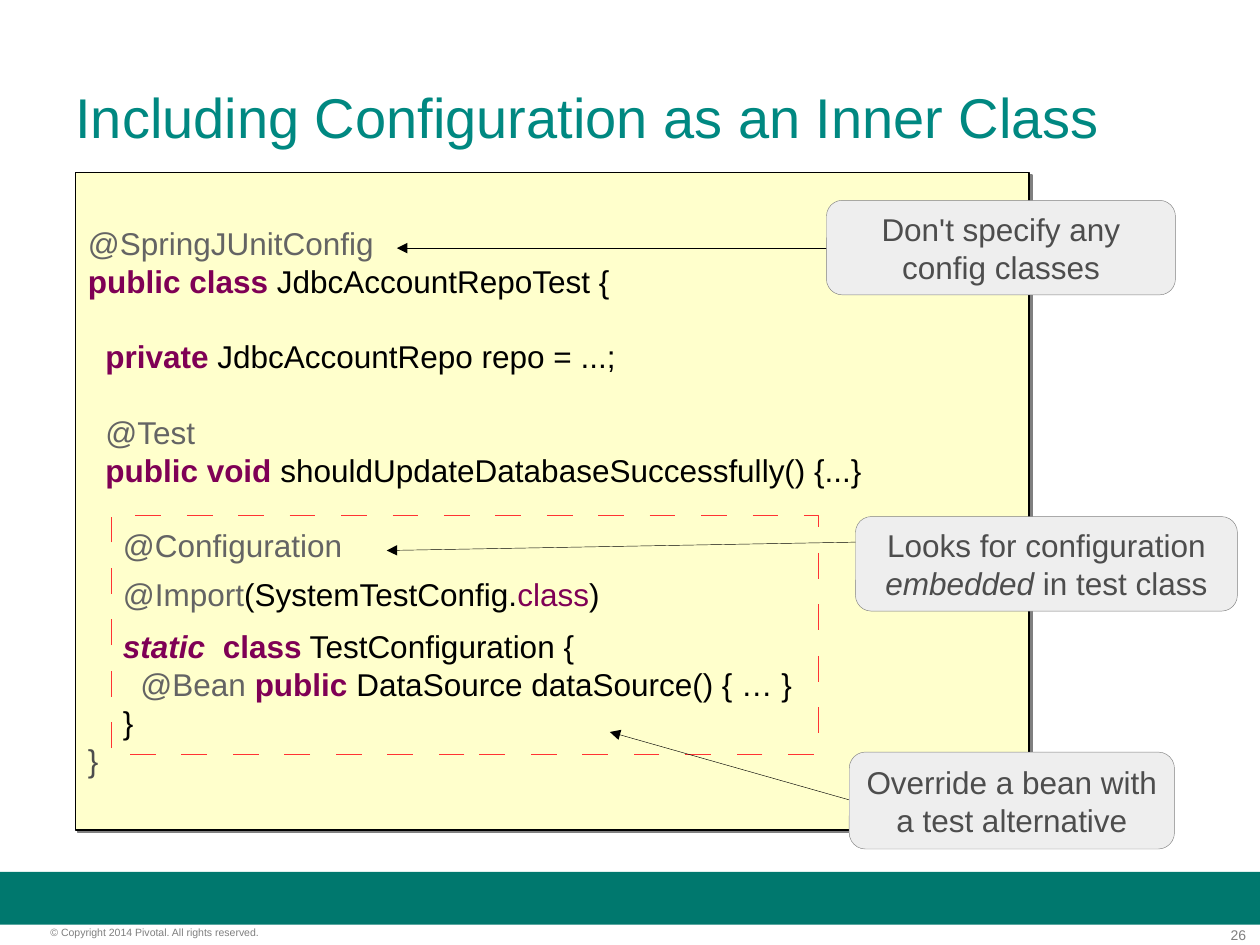
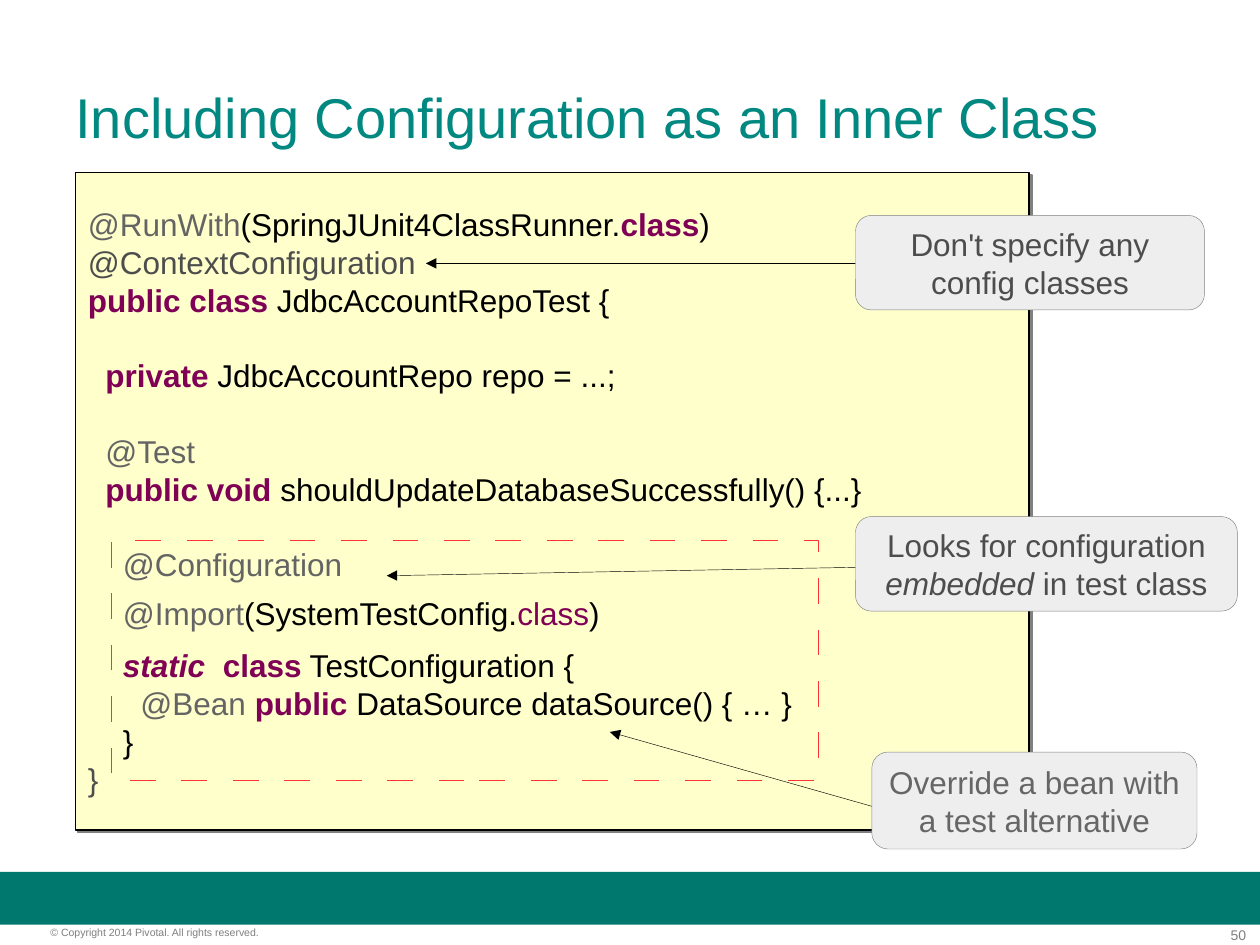
from dataclasses import dataclass
from typing import NamedTuple

from lxml import etree
from pptx import Presentation
from pptx.dml.color import RGBColor
from pptx.enum.shapes import MSO_CONNECTOR, MSO_SHAPE
from pptx.enum.text import MSO_ANCHOR, PP_ALIGN
from pptx.oxml.ns import qn
from pptx.util import Pt

RECT, ROUNDED = MSO_SHAPE.RECTANGLE, MSO_SHAPE.ROUNDED_RECTANGLE
STRAIGHT = MSO_CONNECTOR.STRAIGHT
LEFT, CENTER, RIGHT = PP_ALIGN.LEFT, PP_ALIGN.CENTER, PP_ALIGN.RIGHT
TOP, MIDDLE = MSO_ANCHOR.TOP, MSO_ANCHOR.MIDDLE


@dataclass(frozen=True)
class Theme:
    font: str = "Arial"
    title: str = "008881"
    band: str = "00786E"
    footer: str = "7F7F7F"
    panel: str = "FFFFCC"
    callout: str = "EEEEEE"
    border: str = "808080"
    dashes: str = "FF3333"
    black: str = "000000"
    keyword: str = "7F0055"
    annotation: str = "646464"
    text: str = "4D4D4D"
    soft_text: str = "666666"
    title_size: float = 32
    body_size: float = 18
    number_size: float = 8
    copyright_size: float = 6
    hairline: float = 0.25
    line_height: float = 21.6
    dash: float = 14.4


T = Theme()


# Building blocks, all lengths in points
class Box(NamedTuple):
    left: float
    top: float
    width: float
    height: float


class Run(NamedTuple):
    text: str
    color: str = T.black
    bold: bool = False
    italic: bool = False


class Line(NamedTuple):
    runs: list[Run]
    before: float = 0
    after: float = 0


class Arrow(NamedTuple):
    x1: float
    y1: float
    x2: float
    y2: float


class Callout(NamedTuple):
    box: Box
    lines: list[Line]
    arrow: Arrow


class CodeSlide(NamedTuple):
    number: int
    code: list[Line]
    inner_class: Box
    callouts: list[Callout]


def kw(text: str, italic: bool = False) -> Run:
    return Run(text, T.keyword, True, italic)


def note(text: str) -> Run:
    return Run(text, T.annotation)


def plain(text: str, color: str = T.text) -> Line:
    return Line([Run(text, color)])


# Drawing functions
def write(sp, lines: list[Line], *, size: float, align=LEFT, anchor=TOP,
          margins: tuple[float, float] = (0, 0), spacing: float | None = None) -> None:
    tf = sp.text_frame
    tf.word_wrap = True
    tf.vertical_anchor = anchor
    tf.margin_left = tf.margin_right = Pt(margins[0])
    tf.margin_top = tf.margin_bottom = Pt(margins[1])
    for i, line in enumerate(lines):
        p = tf.add_paragraph() if i else tf.paragraphs[0]
        p.alignment = align
        if spacing:
            p.line_spacing = Pt(spacing)
        if line.before:
            p.space_before = Pt(line.before)
        if line.after:
            p.space_after = Pt(line.after)
        for run in line.runs:
            r = p.add_run()
            r.text = run.text
            r.font.name, r.font.size = T.font, Pt(size)
            r.font.bold, r.font.italic = run.bold, run.italic
            r.font.color.rgb = RGBColor.from_string(run.color)


def add_text(s, box: Box, text: str, color: str, **fmt) -> None:
    write(s.shapes.add_textbox(*map(Pt, box)), [plain(text, color)], **fmt)


def add_box(s, box: Box, *, kind=RECT, fill: str | None = None,
            line: str | None = None, width: float = T.hairline):
    sp = s.shapes.add_shape(kind, *map(Pt, box))
    sp.shadow.inherit = False
    if fill:
        sp.fill.solid()
        sp.fill.fore_color.rgb = RGBColor.from_string(fill)
    else:
        sp.fill.background()
    if line:
        sp.line.color.rgb = RGBColor.from_string(line)
        sp.line.width = Pt(width)
    else:
        sp.line.fill.background()
    return sp


def add_shadow(sp, color: str, distance: float) -> None:
    effects = sp._element.spPr.find(qn("a:effectLst"))
    shadow = etree.SubElement(effects, qn("a:outerShdw"), blurRad="0",
                              dist=str(Pt(distance)), dir=str(45 * 60000),
                              algn="tl", rotWithShape="0")
    etree.SubElement(shadow, qn("a:srgbClr"), val=color)


def add_dashed_box(s, box: Box) -> None:
    sp = add_box(s, box, line=T.dashes)
    length = str(round(T.dash / T.hairline * 100000))
    dashes = etree.SubElement(sp.line._get_or_add_ln(), qn("a:custDash"))
    etree.SubElement(dashes, qn("a:ds"), d=length, sp=length)


def add_arrow(s, arrow: Arrow) -> None:
    c = s.shapes.add_connector(STRAIGHT, *map(Pt, arrow))
    c.line.color.rgb = RGBColor.from_string(T.black)
    c.line.width = Pt(T.hairline)
    etree.SubElement(c.line._get_or_add_ln(), qn("a:tailEnd"), type="triangle")
    etree.SubElement(c._element.spPr, qn("a:effectLst"))


def add_callout(s, callout: Callout) -> None:
    sp = add_box(s, callout.box, kind=ROUNDED, fill=T.callout, line=T.border)
    write(sp, callout.lines, size=T.body_size, align=CENTER, anchor=MIDDLE,
          margins=(7.2, 3.6), spacing=T.line_height)


def add_frame(s, number: int) -> None:
    add_box(s, Box(0, 498.2, 720, 30.2), fill=T.band)
    add_text(s, Box(670.3, 529.2, 41.8, 9.4), str(number), T.footer,
             size=T.number_size, align=RIGHT)
    add_text(s, Box(28.8, 529.2, 179.3, 7.2),
             "© Copyright 2014 Pivotal. All rights reserved.", T.footer,
             size=T.copyright_size)
    add_text(s, Box(36, 21.6, 648, 90), "Including Configuration as an Inner Class",
             T.title, size=T.title_size, anchor=MIDDLE, margins=(7.2, 3.6))


def draw_slide(prs, slide: CodeSlide) -> None:
    s = prs.slides.add_slide(prs.slide_layouts[6])
    add_frame(s, slide.number)
    panel = add_box(s, Box(43.2, 98.6, 545, 375.8), fill=T.panel, line=T.black, width=1)
    add_shadow(panel, T.border, 2)
    write(panel, slide.code, size=T.body_size, anchor=MIDDLE,
          margins=(7.2, 3.6), spacing=T.line_height)
    add_dashed_box(s, slide.inner_class)
    for callout in slide.callouts:
        add_arrow(s, callout.arrow)
    for callout in slide.callouts:
        add_callout(s, callout)


# Code shared by both slides; an empty code line is one line height before
GAP = T.line_height
TEST_CLASS = [
    Line([kw("public class"), Run(" JdbcAccountRepoTest {")]),
    Line([note("  "), kw("private"), Run(" JdbcAccountRepo repo = ...;")], before=GAP),
    Line([note("  @Test")], before=GAP),
    Line([kw("  public void"), Run(" shouldUpdateDatabaseSuccessfully() {...}")]),
    Line([note("    @Configuration")], before=GAP),
    Line([note("    @Import"), Run("(SystemTestConfig."), Run("class", T.keyword),
          Run(")")], before=6, after=8.5),
    Line([kw("    "), kw("static  ", italic=True), kw("class"),
          Run(" TestConfiguration {")]),
    Line([note("      @Bean "), kw("public"), Run(" DataSource dataSource() { … }")]),
    Line([Run("    }")]),
    plain("}"),
]
SPRING_CONFIG = [Line([note("@SpringJUnitConfig")])]
RUN_WITH = [
    Line([note("@RunWith"), Run("(SpringJUnit4ClassRunner."), kw("class"), Run(")")]),
    plain("@ContextConfiguration"),
]


# Callouts
def no_classes(left: float, top: float, arrow: Arrow) -> Callout:
    return Callout(Box(left, top, 199.4, 54),
                   [plain("Don't specify any config classes")], arrow)


def embedded(arrow_top: float) -> Callout:
    line = Line([Run("Looks for configuration ", T.text),
                 Run("embedded", T.text, italic=True),
                 Run(" in test class", T.text)])
    return Callout(Box(488.9, 295.2, 218.2, 54), [line],
                   Arrow(499.7, arrow_top, 221, arrow_top + 5))


def override(left: float, color: str) -> Callout:
    lines = [plain(text, color) for text in ("Override a bean with", "a test alternative")]
    return Callout(Box(left, 429.8, 185.8, 55.4), lines,
                   Arrow(503.3, 462.2, 348.5, 418.3))


def inner_class(top: float) -> Box:
    return Box(63.4, top, 403.9, 136.8)


SLIDES = [
    CodeSlide(26, SPRING_CONFIG + TEST_CLASS, inner_class(294.5), [
        no_classes(472.3, 114.5, Arrow(483.1, 141.8, 226.8, 141.8)),
        embedded(309.6),
        override(485.3, T.text),
    ]),
    CodeSlide(50, RUN_WITH + TEST_CLASS, inner_class(308.9), [
        no_classes(488.9, 123.1, Arrow(499.7, 150.5, 243.4, 150.5)),
        embedded(324),
        override(498.2, T.soft_text),
    ]),
]


def main() -> None:
    prs = Presentation()
    prs.slide_width, prs.slide_height = Pt(720), Pt(540)
    for slide in SLIDES:
        draw_slide(prs, slide)
    prs.save("out.pptx")


if __name__ == "__main__":
    main()
